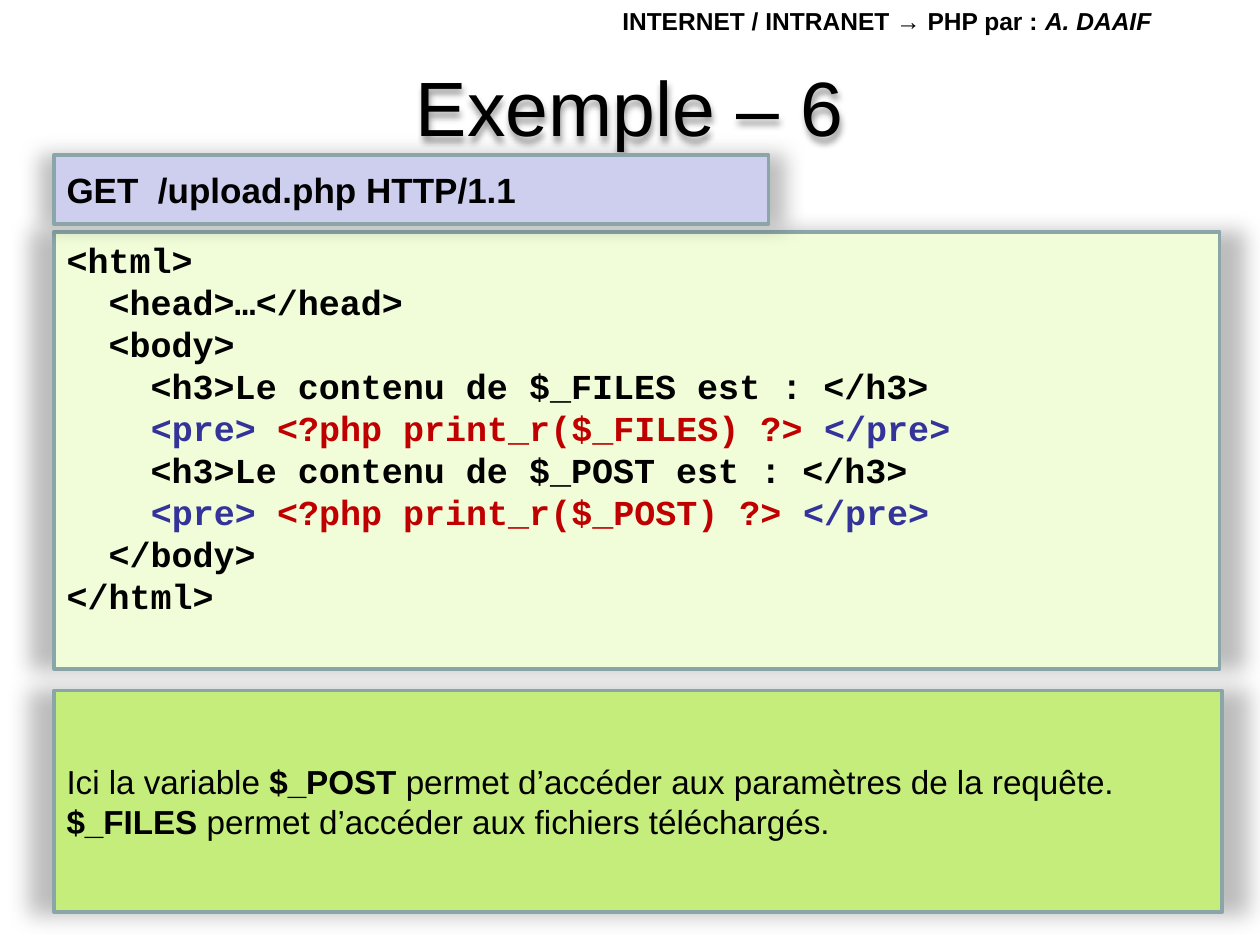
from lxml.etree import SubElement
from pptx import Presentation
from pptx.dml.color import RGBColor
from pptx.enum.shapes import MSO_SHAPE
from pptx.enum.text import MSO_ANCHOR as Anchor, PP_ALIGN as Align
from pptx.oxml.ns import qn
from pptx.util import Inches, Pt

BLACK, BLUE, RED = "000000", "333399", "C00000"
LEFT = 0.43


def write(frame, lines, size, font="Arial", align=Align.LEFT, anchor=Anchor.MIDDLE):
    """Each line is a list of (text, overrides), overrides being bold, italic or color."""
    frame.word_wrap = True
    frame.vertical_anchor = anchor
    for number, line in enumerate(lines):
        paragraph = frame.add_paragraph() if number else frame.paragraphs[0]
        paragraph.alignment = align
        for text, look in line:
            run = paragraph.add_run()
            run.text = text
            run.font.name, run.font.size = font, Pt(size)
            run.font.bold = look.get("bold", False)
            run.font.italic = look.get("italic", False)
            run.font.color.rgb = RGBColor.from_string(look.get("color", BLACK))


def soft_shadow(shape, blur, distance, alpha, widen=100):
    shape.shadow.inherit = False
    effects = shape._element.spPr.find(qn("a:effectLst"))
    shadow = SubElement(effects, qn("a:outerShdw"), blurRad=str(Pt(blur)),
                        dist=str(Pt(distance)), dir="5400000", sx=str(widen * 1000),
                        sy="100000", algn="ctr", rotWithShape="0")
    color = SubElement(shadow, qn("a:srgbClr"), val=BLACK)
    SubElement(color, qn("a:alpha"), val=str(alpha * 1000))


prs = Presentation()
prs.slide_width, prs.slide_height = Inches(10), Inches(7.5)
slide = prs.slides.add_slide(prs.slide_layouts[5])

title = slide.shapes.title
title.left, title.top, title.width, title.height = map(Inches, (0.5, 0.44, 9, 0.79))
write(title.text_frame, [[("Exemple – 6", {})]], 44, align=Align.CENTER)
soft_shadow(title, 4, 3, 40)

header = slide.shapes.add_textbox(*map(Inches, (4.84, 0, 5.28, 0.37)))
write(header.text_frame, [[
    ("INTERNET / INTRANET → PHP par : ", {"bold": True}),
    ("A. DAAIF", {"bold": True, "italic": True}),
]], 14, anchor=Anchor.TOP)

bold, tag, php = {"bold": True}, {"bold": True, "color": BLUE}, {"bold": True, "color": RED}
code = [[("<html>", bold)], [("  <head>…</head>", bold)], [("  <body>", bold)]]
for variable in ("$_FILES", "$_POST"):
    code += [
        [(f"    <h3>Le contenu de {variable} est : </h3>", bold)],
        [("    ", bold), ("<pre> ", tag), (f"<?php print_r({variable}) ?> ", php), ("</pre>", tag)],
    ]
code += [[("  </body>", bold)], [("</html>", bold)]]

explanation = [[
    ("Ici la variable ", {}),
    ("$_POST ", bold),
    ("permet d’accéder aux paramètres de la requête. ", {}),
    ("$_FILES ", bold),
    ("permet d’accéder aux fichiers téléchargés.", {}),
]]
request = [[("GET  /upload.php HTTP/1.1", bold)]]

# top, width, height, fill, lines, size, font, anchor
panels = [
    (1.84, 9.25, 3.47, "F1FCD8", code, 20, "Courier New", Anchor.TOP),
    (5.48, 9.27, 1.76, "C4ED7B", explanation, 19, "Arial", Anchor.MIDDLE),
    (1.23, 5.67, 0.55, "CECEEF", request, 20, "Arial", Anchor.MIDDLE),
]
for top, width, height, fill, lines, size, font, anchor in panels:
    panel = slide.shapes.add_shape(MSO_SHAPE.RECTANGLE, *map(Inches, (LEFT, top, width, height)))
    panel.fill.solid()
    panel.fill.fore_color.rgb = RGBColor.from_string(fill)
    panel.line.color.rgb = RGBColor.from_string("8AA6A8")
    panel.line.width = Pt(2)
    soft_shadow(panel, 12, 0, 25, widen=104)
    write(panel.text_frame, lines, size, font=font, anchor=anchor)

prs.save("out.pptx")
